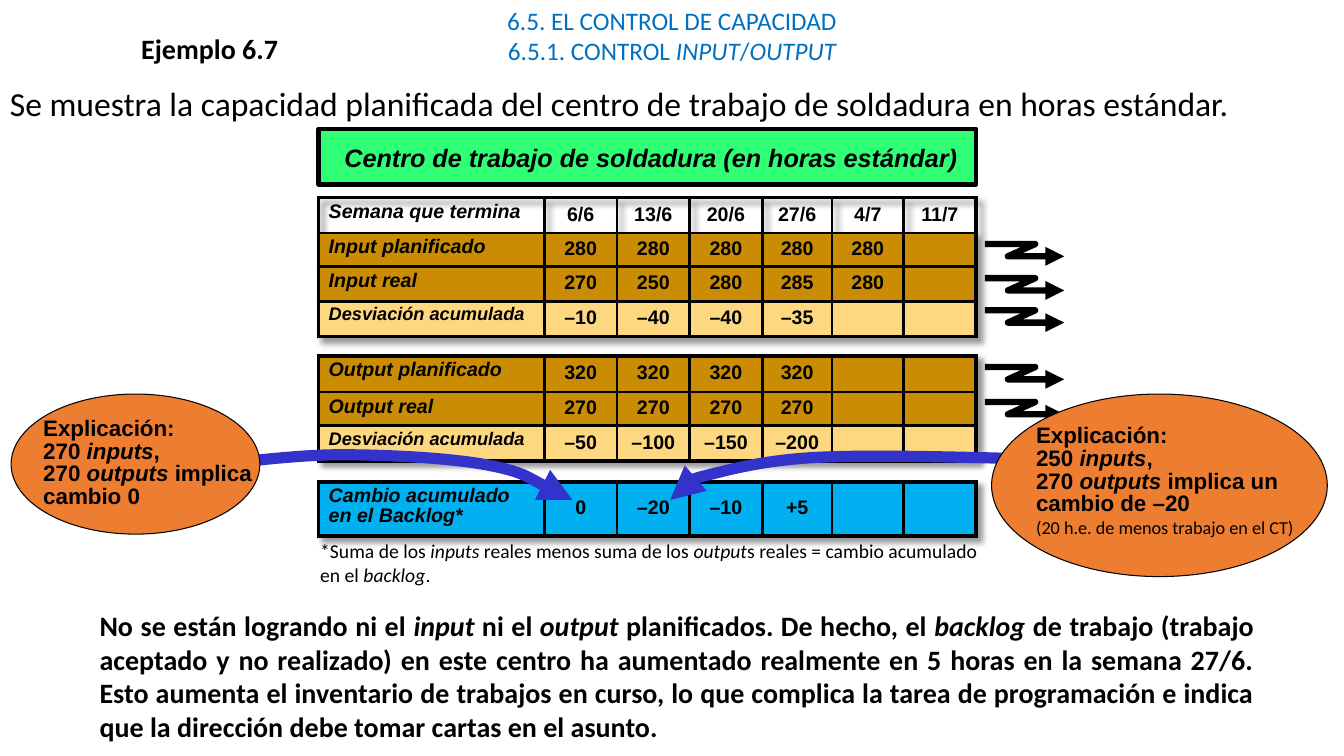
"""Build the slide on input/output capacity control for a welding work centre."""
from lxml import etree
from pptx import Presentation
from pptx import util as u
from pptx.dml.color import RGBColor
from pptx.enum import shapes, text
from pptx.oxml import ns

BLACK = RGBColor(0x00, 0x00, 0x00)
TITLE_BLUE = RGBColor(0x00, 0x70, 0xC0)
HEADING_GREEN = RGBColor(0x2F, 0xFF, 0x74)
OCHRE = RGBColor(0xCA, 0x8C, 0x02)
SAND = RGBColor(0xFE, 0xD8, 0x80)
BACKLOG_BLUE = RGBColor(0x00, 0xB0, 0xF0)
ORANGE = RGBColor(0xED, 0x7D, 0x31)
ARROW_BLUE = RGBColor(0x33, 0x33, 0xCC)
LEFT, CENTER, JUSTIFY = text.PP_ALIGN.LEFT, text.PP_ALIGN.CENTER, text.PP_ALIGN.JUSTIFY


def write(frame, words, size, font="Calibri", bold=False, align=LEFT, spacing=None, color=BLACK):
    """Add a paragraph in which underscores switch italics on and off."""
    paragraph = frame.add_paragraph() if frame.text else frame.paragraphs[0]
    paragraph.alignment = align
    paragraph.line_spacing = spacing
    for index, piece in enumerate(words.split("_")):
        if piece:
            run = paragraph.add_run()
            run.text = piece
            run.font.name, run.font.size = font, u.Pt(size)
            run.font.bold, run.font.italic = bold, index % 2 == 1
            run.font.color.rgb = color


def draw_arrow(points, color, width, curved=False):
    """Draw an open arrow through points, or with them as Bézier controls."""
    emu = [(u.Cm(x), u.Cm(y)) for x, y in points]
    builder = slide.shapes.build_freeform(*emu[0])
    builder.add_line_segments(emu[1:], close=False)
    arrow = builder.convert_to_shape()
    arrow.shadow.inherit = False
    arrow.fill.background()
    arrow.line.color.rgb, arrow.line.width = color, u.Pt(width)
    etree.SubElement(arrow.line._get_or_add_ln(), ns.qn("a:tailEnd"), type="triangle")
    if curved:
        segments = list(arrow._element.iter(ns.qn("a:lnTo")))
        outline = segments[0].getparent()
        for start in range(0, len(segments), 3):
            curve = etree.SubElement(outline, ns.qn("a:cubicBezTo"))
            for segment in segments[start:start + 3]:
                curve.append(segment[0])
                outline.remove(segment)


prs = Presentation()
prs.slide_width, prs.slide_height = u.Cm(33.87), u.Cm(19.05)
slide = prs.slides.add_slide(prs.slide_layouts[6])

TABLE_LEFT = 8.03
COLUMN_WIDTHS = [5.69, 1.83, 1.83, 1.83, 1.76, 1.8, 1.83]
TABLE_WIDTH = sum(COLUMN_WIDTHS)
blocks = [
    (4.98, [
        (0.89, None, 14, "Semana que termina", ["6/6", "13/6", "20/6", "27/6", "4/7", "11/7"]),
        (0.85, OCHRE, 14, "Input planificado", ["280", "280", "280", "280", "280", ""]),
        (0.87, OCHRE, 14, "Input real", ["270", "250", "280", "285", "280", ""]),
        (0.89, SAND, 13, "Desviación acumulada", ["–10", "–40", "–40", "–35", "", ""]),
    ]),
    (8.97, [
        (0.91, OCHRE, 14, "Output planificado", ["320", "320", "320", "320", "", ""]),
        (0.84, OCHRE, 14, "Output real", ["270", "270", "270", "270", "", ""]),
        (0.89, SAND, 13, "Desviación acumulada", ["–50", "–100", "–150", "–200", "", ""]),
    ]),
    (12.14, [
        (1.37, BACKLOG_BLUE, 14, "Cambio acumulado en el Backlog*", ["0", "–20", "–10", "+5", "", ""]),
    ]),
]
for top, rows in blocks:
    block_height = sum(row[0] for row in rows)
    block = slide.shapes.add_table(len(rows), len(COLUMN_WIDTHS), u.Cm(TABLE_LEFT), u.Cm(top),
                                   u.Cm(TABLE_WIDTH), u.Cm(block_height)).table
    block.first_row = block.horz_banding = False
    effects = etree.Element(ns.qn("a:effectLst"))
    shadow = etree.SubElement(effects, ns.qn("a:outerShdw"), blurRad="50800", dist="50800",
                              dir="2700000", algn="tl", rotWithShape="0")
    shade = etree.SubElement(shadow, ns.qn("a:srgbClr"), val=str(BLACK))
    etree.SubElement(shade, ns.qn("a:alpha"), val="40000")
    block._tbl.tblPr.insert(0, effects)
    for column, width in zip(block.columns, COLUMN_WIDTHS):
        column.width = u.Cm(width)
    for r, (height, fill, label_size, label, values) in enumerate(rows):
        block.rows[r].height = u.Cm(height)
        for c, words in enumerate([label] + values):
            cell = block.cell(r, c)
            outer_edges = {"a:lnL": c == 0, "a:lnR": c == len(values),
                           "a:lnT": r == 0, "a:lnB": r == len(rows) - 1}
            for edge, outer in outer_edges.items():
                border = etree.SubElement(cell._tc.get_or_add_tcPr(), ns.qn(edge),
                                          w=str(u.Pt(3 if outer else 2.25)))
                paint = etree.SubElement(border, ns.qn("a:solidFill"))
                etree.SubElement(paint, ns.qn("a:srgbClr"), val=str(BLACK))
            if fill is None:
                cell.fill.background()
            else:
                cell.fill.solid()
                cell.fill.fore_color.rgb = fill
            if c == 0:
                write(cell.text_frame, f"_{words}_", label_size, "Arial", True, LEFT, 0.9)
            else:
                cell.vertical_anchor = text.MSO_ANCHOR.MIDDLE
                cell.margin_top = cell.margin_bottom = 0
                write(cell.text_frame, words, 14, "Arial", True, CENTER, 0.9)

for y in [6.15, 7.01, 7.82, 9.25, 10.13]:
    draw_arrow([(24.82, y), (26.09, y), (25.4, y + 0.31), (26.82, y + 0.31)], BLACK, 4.5)

draw_arrow([(5.44, 11.71), (5.97, 11.66), (7.44, 11.46), (8.59, 11.46), (9.7, 11.46),
            (11.25, 11.53), (12.24, 11.71), (13.21, 11.89), (13.97, 12.4), (14.43, 12.6)],
           ARROW_BLUE, 8, curved=True)
draw_arrow([(25.78, 11.56), (23.8, 11.51), (21.84, 11.46), (20.5, 11.53), (19.15, 11.61),
            (18.29, 11.86), (17.68, 12.01), (17.09, 12.19), (16.99, 12.4), (16.89, 12.6)],
           ARROW_BLUE, 8, curved=True)

panels = [
    (shapes.MSO_SHAPE.RECTANGLE, (TABLE_LEFT, 3.25, TABLE_WIDTH, 1.4), HEADING_GREEN, 3),
    (shapes.MSO_SHAPE.OVAL, (0.28, 9.93, 6.27, 3.53), ORANGE, 0.75),
    (shapes.MSO_SHAPE.OVAL, (24.99, 9.93, 8.46, 4.6), ORANGE, 0.75),
]
for outline, place, fill, line_width in panels:
    panel = slide.shapes.add_shape(outline, *map(u.Cm, place))
    panel.shadow.inherit = False
    panel.fill.solid()
    panel.fill.fore_color.rgb = fill
    panel.line.color.rgb, panel.line.width = BLACK, u.Pt(line_width)

explanation = dict(size=16, font="Arial", bold=True, spacing=0.85)
title = dict(size=18, align=CENTER, color=TITLE_BLUE)
passages = [
    ((0, 0, 33.87, 1.8), [
        ("6.5. EL CONTROL DE CAPACIDAD", title),
        ("6.5.1. CONTROL _INPUT_/_OUTPUT_", title),
    ]),
    ((3.15, 0.66, 4.27, 1.12), [("Ejemplo 6.7", dict(size=20, bold=True, align=CENTER))]),
    ((0, 1.96, 33.87, 1.27), [
        ("Se muestra la capacidad planificada del centro de trabajo de soldadura en horas estándar.",
         dict(size=24, align=JUSTIFY)),
    ]),
    ((8.43, 3.45, 16.13, 1.02), [
        ("_Centro de trabajo de soldadura (en horas estándar)_", dict(size=18, font="Arial", bold=True)),
    ]),
    ((7.82, 13.46, 17.32, 1.45), [
        ("*Suma de los _inputs_ reales menos suma de los _output_s reales = "
         "cambio acumulado en el _backlog_.", dict(size=14)),
    ]),
    ((0.84, 10.41, 5.99, 2.59), [
        ("Explicación:", explanation),
        ("270 _inputs_,", explanation),
        ("270 _outputs_ implica", explanation),
        ("cambio 0", explanation),
    ]),
    ((25.86, 10.59, 7.54, 3.15), [
        ("Explicación:", explanation),
        ("250 _inputs_,", explanation),
        ("270 _outputs _implica un cambio de –20", explanation),
        ("(20 h.e. de menos trabajo en el CT)", dict(size=13)),
    ]),
    ((2.26, 15.21, 29.59, 3.68), [
        ("No se están logrando ni el _input_ ni el _output_ planificados. De hecho, el _backlog _"
         "de trabajo (trabajo aceptado y no realizado) en este centro ha aumentado realmente en "
         "5 horas en la semana 27/6. Esto aumenta el inventario de trabajos en curso, lo que "
         "complica la tarea de programación e indica que la dirección debe tomar cartas en el asunto.",
         dict(size=20, bold=True, align=JUSTIFY)),
    ]),
]
for place, paragraphs in passages:
    frame = slide.shapes.add_textbox(*map(u.Cm, place)).text_frame
    frame.word_wrap = True
    for words, style in paragraphs:
        write(frame, words, **style)

prs.save("out.pptx")
